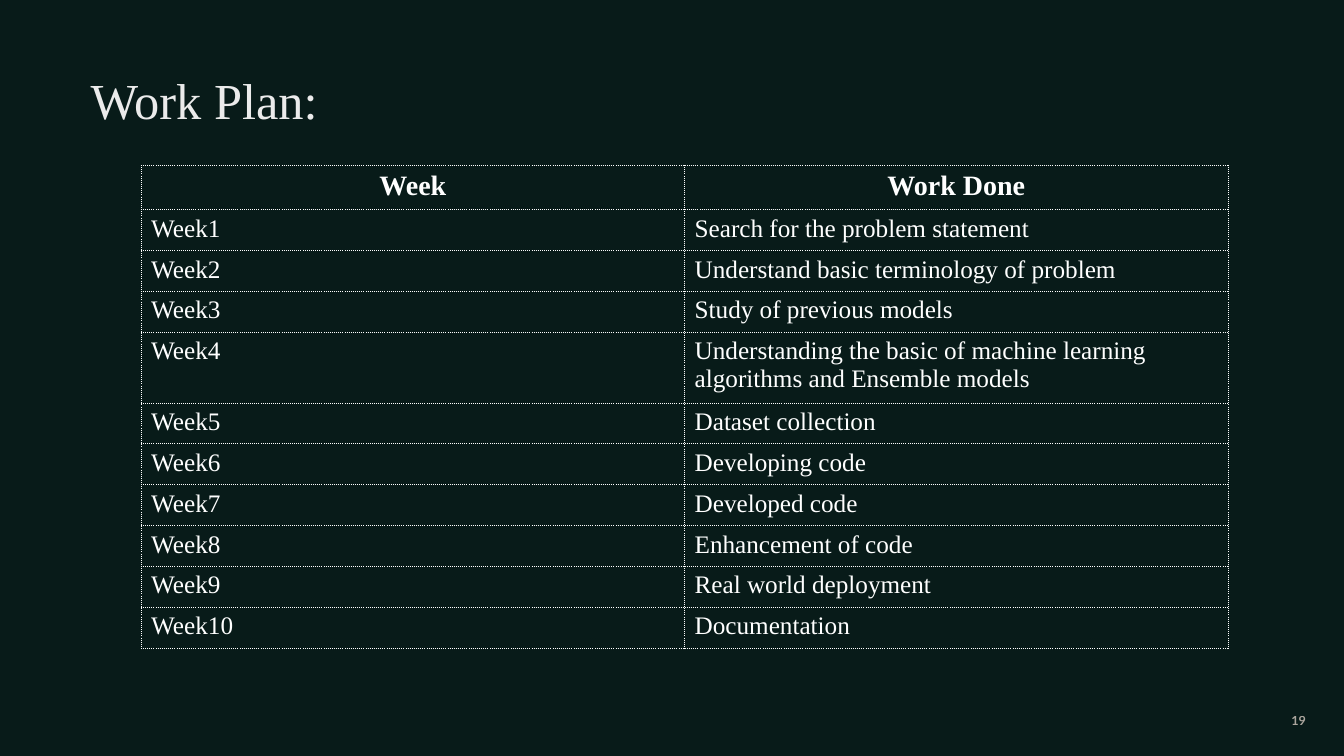
from dataclasses import dataclass

from lxml.etree import SubElement
from pptx import Presentation
from pptx.dml.color import RGBColor
from pptx.enum.text import MSO_ANCHOR, MSO_AUTO_SIZE, PP_ALIGN
from pptx.oxml.ns import qn
from pptx.util import Inches, Pt


@dataclass(frozen=True)
class Theme:
    background: str = "081B19"
    title: str = "EBEBEB"
    table: str = "FFFFFF"
    number: str = "E2D4CA"
    serif: str = "Times New Roman"
    sans: str = "Lato"
    title_size: int = 36
    header_size: int = 20
    body_size: int = 18
    number_size: int = 9


theme = Theme()


def style(p, name, size, color, align=PP_ALIGN.LEFT, bold=False):
    p.alignment = align
    p.font.name = name
    p.font.size = Pt(size)
    p.font.bold = bold
    p.font.color.rgb = RGBColor.from_string(color)


def add_dotted_borders(cell):
    tc_pr = cell._tc.get_or_add_tcPr()
    for side in ("lnL", "lnR", "lnT", "lnB"):
        ln = SubElement(tc_pr, qn(f"a:{side}"), w=str(Pt(0.5)))
        fill = SubElement(ln, qn("a:solidFill"))
        SubElement(fill, qn("a:srgbClr"), val=theme.table)
        SubElement(ln, qn("a:prstDash"), val="sysDot")


work_done = [
    "Search for the problem statement",
    "Understand basic terminology of problem",
    "Study of previous models",
    "Understanding the basic of machine learning algorithms and Ensemble models",
    "Dataset collection",
    "Developing code",
    "Developed code",
    "Enhancement of code",
    "Real world deployment",
    "Documentation",
]
rows = [("Week", "Work Done")]
rows += [(f"Week{week}", task) for week, task in enumerate(work_done, 1)]

prs = Presentation()
prs.slide_width = Inches(13.33)
prs.slide_height = Inches(7.5)
s = prs.slides.add_slide(prs.slide_layouts[5])
s.background.fill.solid()
s.background.fill.fore_color.rgb = RGBColor.from_string(theme.background)

# Title
title = s.shapes.title
title.left, title.top = Inches(0.8), Inches(0.64)
title.width, title.height = Inches(6.67), Inches(0.71)
tf = title.text_frame
tf.text = "Work Plan:"
tf.vertical_anchor = MSO_ANCHOR.TOP
tf.auto_size = MSO_AUTO_SIZE.SHAPE_TO_FIT_TEXT
style(tf.paragraphs[0], theme.serif, theme.title_size, theme.title)

# Work plan table
header_height, double_height = Inches(0.44), Inches(0.7)
single_height = Inches(3.65 / 9)
table = s.shapes.add_table(
    len(rows), 2, Inches(1.4), Inches(1.64), Inches(10.78), Inches(4.79)
).table
table.horz_banding = False
for i, row in enumerate(rows):
    is_header = i == 0
    if is_header:
        table.rows[i].height = header_height
    else:
        table.rows[i].height = double_height if len(row[1]) > 50 else single_height
    for j, text in enumerate(row):
        cell = table.cell(i, j)
        cell.text = text
        add_dotted_borders(cell)
        cell.fill.background()
        style(
            cell.text_frame.paragraphs[0],
            theme.serif,
            theme.header_size if is_header else theme.body_size,
            theme.table,
            PP_ALIGN.CENTER if is_header else PP_ALIGN.LEFT,
            is_header,
        )

# Slide number
number = s.shapes.add_textbox(Inches(11.5), Inches(6.95), Inches(1.55), Inches(0.4))
tf = number.text_frame
tf.word_wrap = True
tf.vertical_anchor = MSO_ANCHOR.MIDDLE
p = tf.paragraphs[0]
r = p.add_run()
r.text = "19"
p.alignment = PP_ALIGN.RIGHT
r.font.name = theme.sans
r.font.size = Pt(theme.number_size)
r.font.bold = True
r.font.color.rgb = RGBColor.from_string(theme.number)
color = r.font._element.find(f".//{qn('a:srgbClr')}")
SubElement(color, qn("a:alpha"), val="75000")

prs.save("out.pptx")
